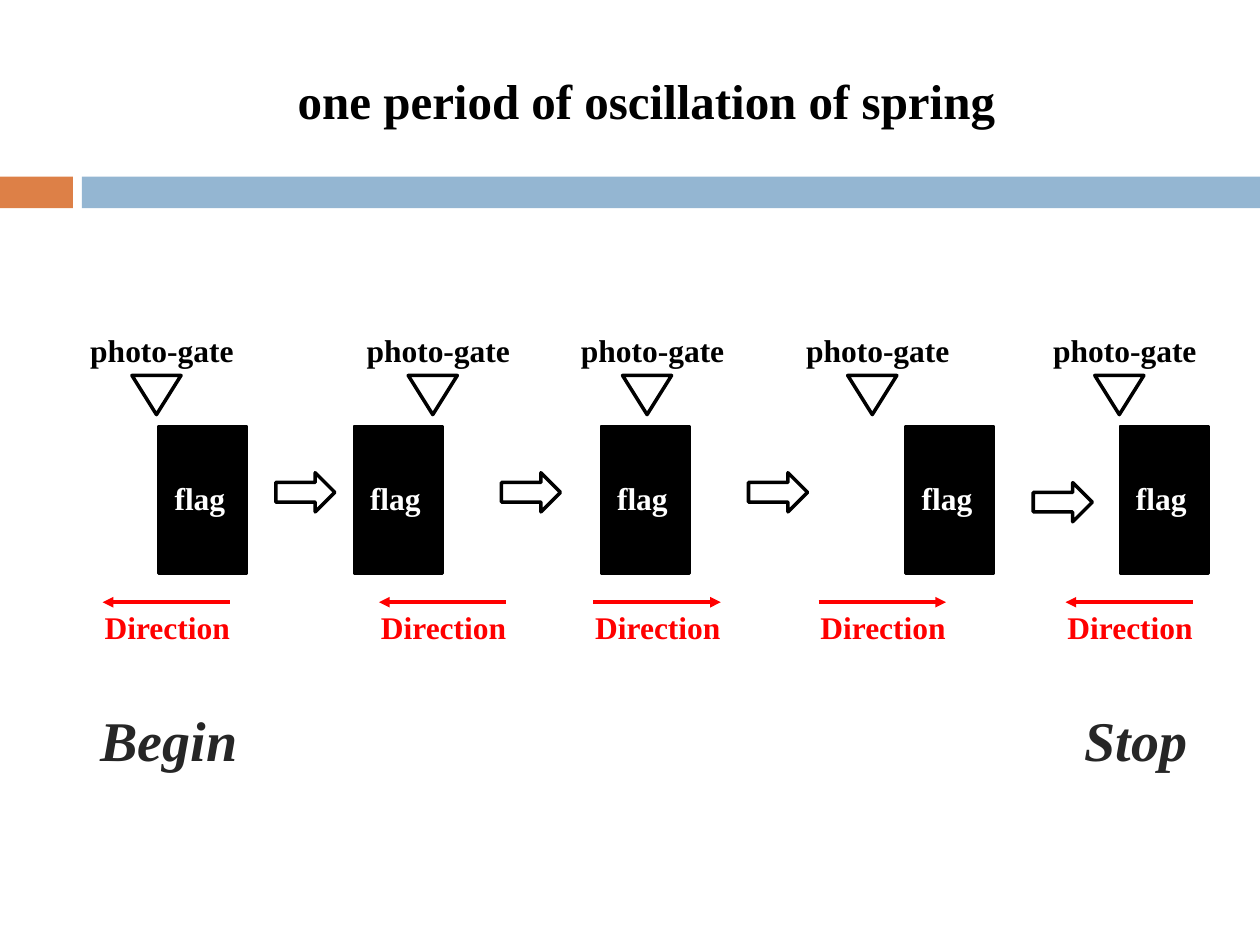
from typing import NamedTuple

from lxml.etree import SubElement
from pptx import Presentation
from pptx.dml.color import RGBColor
from pptx.enum.shapes import MSO_CONNECTOR as Link, MSO_SHAPE as Form
from pptx.enum.text import MSO_ANCHOR as Anchor, MSO_AUTO_SIZE as Fit, PP_ALIGN as Align
from pptx.oxml.ns import qn
from pptx.util import Cm, Pt

BLACK = RGBColor(0x00, 0x00, 0x00)
WHITE = RGBColor(0xFF, 0xFF, 0xFF)
RED = RGBColor(0xFF, 0x00, 0x00)
GREY = RGBColor(0x26, 0x26, 0x26)
ORANGE = RGBColor(0xDD, 0x80, 0x47)
BLUE = RGBColor(0x94, 0xB6, 0xD2)
FONT = "Times New Roman"


class Stage(NamedTuple):
    gate: float
    flag: float
    end: str


class Spot(NamedTuple):
    left: float
    top: float


LEFT, RIGHT = "a:headEnd", "a:tailEnd"
STAGES = [
    Stage(1.57, 3.2, LEFT),
    Stage(7.14, 7.14, LEFT),
    Stage(11.46, 12.12, RIGHT),
    Stage(16, 18.26, RIGHT),
    Stage(20.98, 22.58, LEFT),
]
STEPS = [Spot(5.56, 9.53), Spot(10.11, 9.53), Spot(15.09, 9.53), Spot(20.83, 9.73)]


def write(frame, text: str, *, size: float = 18, color: RGBColor = BLACK,
          italic: bool = False, align: Align = Align.LEFT) -> None:
    para = frame.paragraphs[0]
    para.alignment = align
    run = para.add_run()
    run.text = text
    font = run.font
    font.name, font.size = FONT, Pt(size)
    font.bold, font.italic = True, italic
    font.color.rgb = color


def label(shapes, text: str, left: float, top: float, width: float,
          height: float = 1.02, **style) -> None:
    box = shapes.add_textbox(Cm(left), Cm(top), Cm(width), Cm(height))
    frame = box.text_frame
    frame.word_wrap = False
    frame.auto_size = Fit.SHAPE_TO_FIT_TEXT
    write(frame, text, **style)


def block(shapes, form: Form, left: float, top: float, width: float, height: float,
          fill: RGBColor | None = None, line: float = 0):
    shape = shapes.add_shape(form, Cm(left), Cm(top), Cm(width), Cm(height))
    shape.shadow.inherit = False
    if fill is None:
        shape.fill.background()
    else:
        shape.fill.solid()
        shape.fill.fore_color.rgb = fill
    if line:
        shape.line.color.rgb = BLACK
        shape.line.width = Pt(line)
    else:
        shape.line.fill.background()
    return shape


def arrow(shapes, left: float, top: float, width: float, end: str) -> None:
    link = shapes.add_connector(Link.STRAIGHT, Cm(left), Cm(top), Cm(left + width), Cm(top))
    link.line.color.rgb = RED
    link.line.width = Pt(2)
    SubElement(link.line._get_or_add_ln(), qn(end), type="triangle")
    SubElement(link.element.spPr, qn("a:effectLst"))


def draw(shapes, stage: Stage) -> None:
    group = shapes.add_group_shape().shapes
    block(group, Form.RECTANGLE, stage.flag, 8.59, 1.78, 2.97, BLACK, 1.5)
    gate = block(group, Form.ISOSCELES_TRIANGLE, stage.gate + 1.09, 7.57, 0.99, 0.79, line=2)
    gate.element.spPr.xfrm.set("flipV", "1")
    arrow(group, stage.gate + 0.5, 12.14, 2.57, stage.end)
    label(group, "Direction", stage.gate + 0.29, 12.13, 3.07, color=RED)
    label(group, "photo-gate", stage.gate, 6.55, 3.43)
    label(group, "flag", stage.flag + 0.07, 9.53, 1.55, color=WHITE)


def main() -> None:
    deck = Presentation()
    deck.slide_width, deck.slide_height = Cm(25.4), Cm(19.05)
    slide = deck.slides.add_slide(deck.slide_layouts[5])
    shapes = slide.shapes

    block(shapes, Form.RECTANGLE, 0, 3.56, 1.47, 0.64, ORANGE)
    block(shapes, Form.RECTANGLE, 1.65, 3.56, 23.75, 0.64, BLUE)

    title = shapes.title
    title.left, title.top = Cm(1.7), Cm(0.64)
    title.width, title.height = Cm(22.66), Cm(2.74)
    title.text_frame.vertical_anchor = Anchor.MIDDLE
    write(title.text_frame, "one period of oscillation of spring", size=28, align=Align.CENTER)

    for stage in STAGES:
        draw(shapes, stage)
    for step in STEPS:
        block(shapes, Form.RIGHT_ARROW, step.left, step.top, 1.19, 0.79, WHITE, 2)

    label(shapes, "Begin", 1.78, 14.1, 3.3, 1.63, size=32, color=GREY, italic=True)
    label(shapes, "Stop", 21.62, 14.1, 2.59, 1.63, size=32, color=GREY, italic=True)

    deck.save("out.pptx")


if __name__ == "__main__":
    main()
